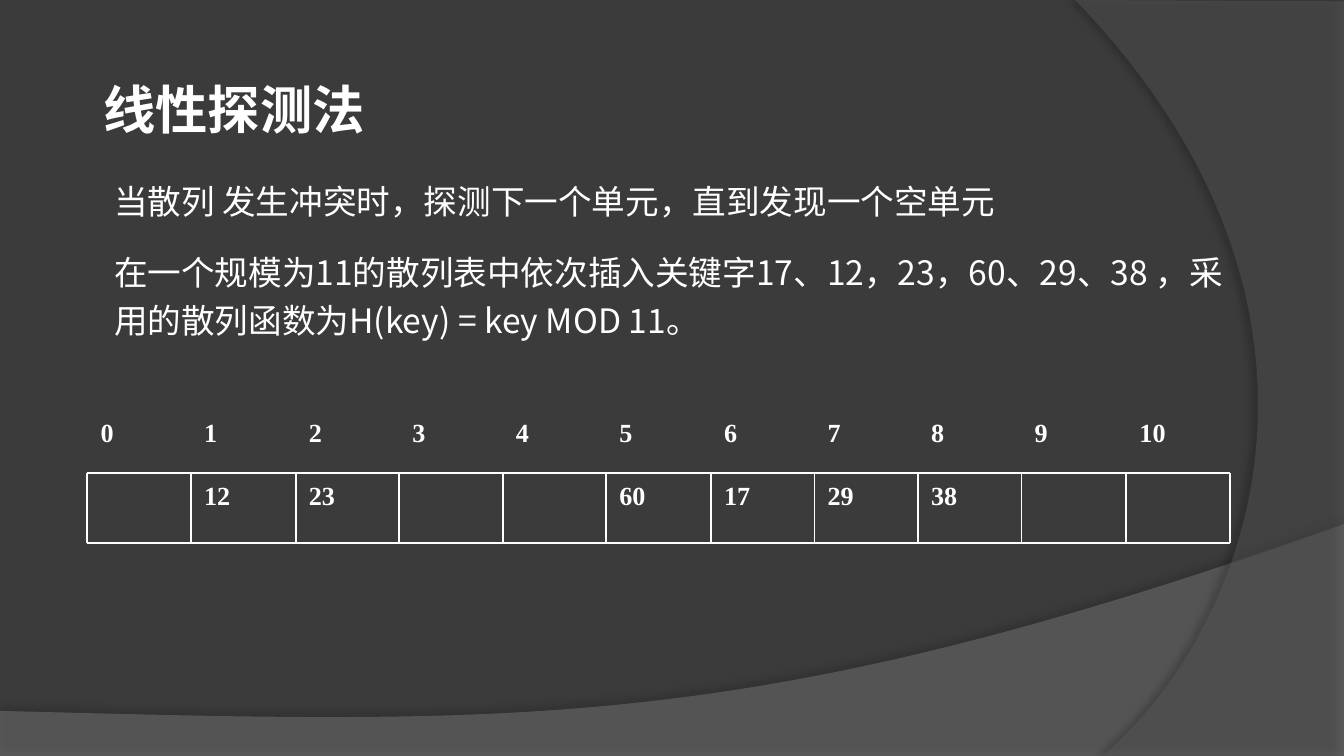
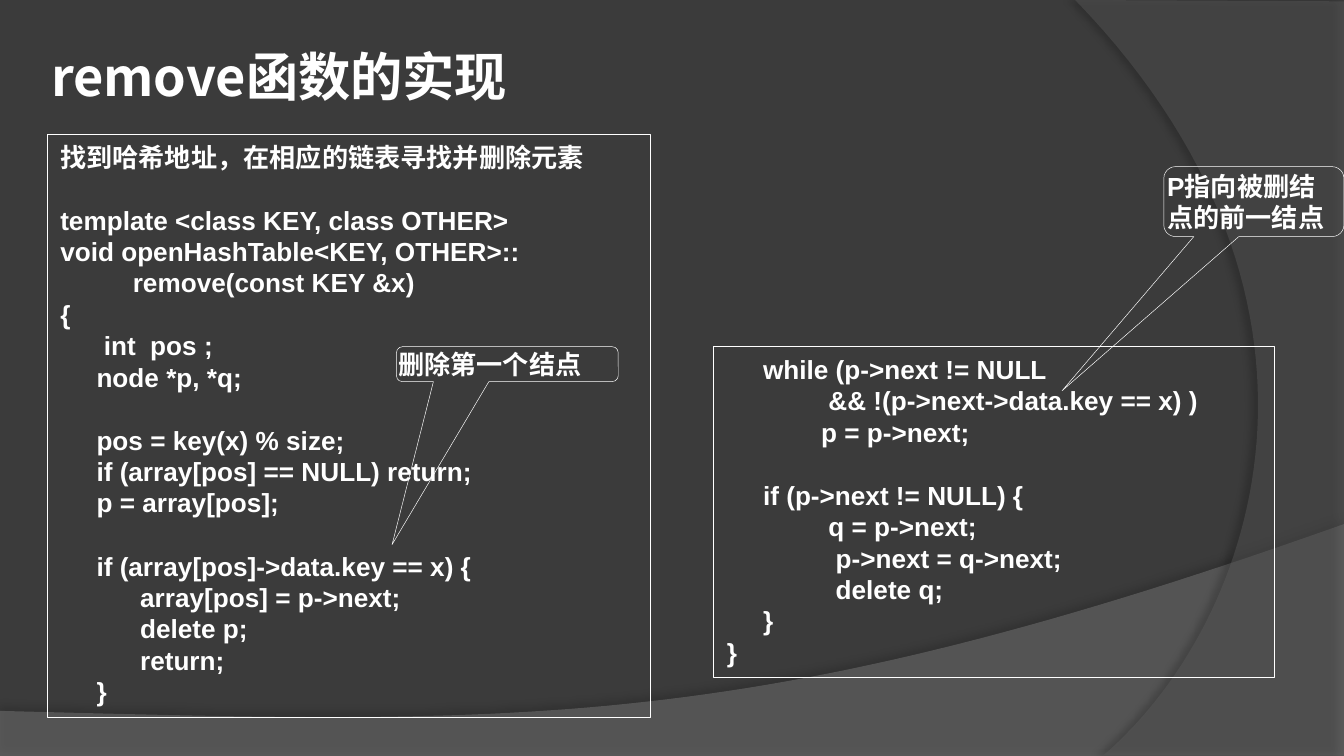
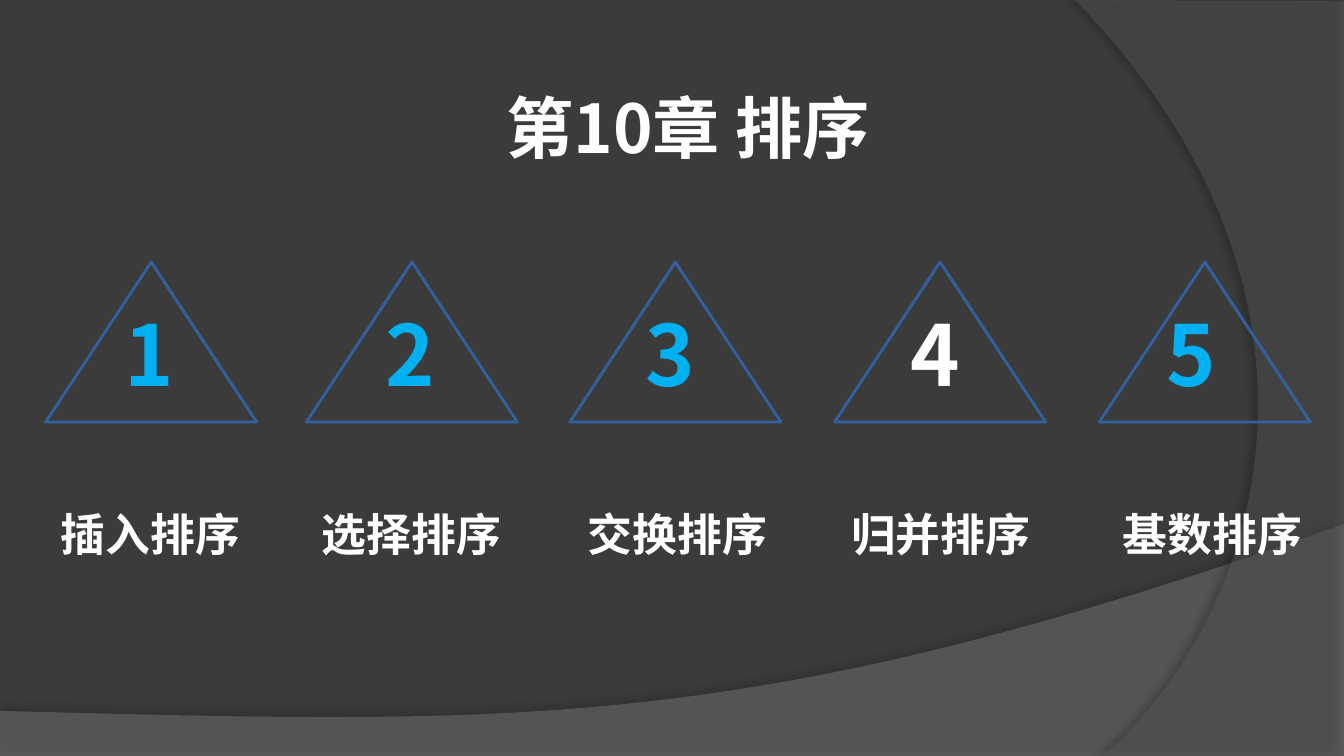
from lxml import etree
from pptx import Presentation
from pptx import util as u
from pptx.dml.color import RGBColor
from pptx.enum import shapes, text
from pptx.oxml.ns import qn

PX = 9144
COLORS = {"bg": "3B3B3B", "white": "FFFFFF", "black": "000000", "wave": "7F7F7F",
          "arc": "5E5E5E", "edge": "33619F", "digit": "00B0F0"}
SANS, CODE, SERIF = "Noto Sans CJK SC", "Arial", "Times New Roman"
LEFT, CENTER = text.PP_ALIGN.LEFT, text.PP_ALIGN.CENTER

REMOVE_START = """找到哈希地址，在相应的链表寻找并删除元素

template <class KEY, class OTHER>
void openHashTable<KEY, OTHER>::
          remove(const KEY &x)
{
      int  pos ;
     node *p, *q;

     pos = key(x) % size;
     if (array[pos] == NULL) return;
     p = array[pos];

     if (array[pos]->data.key == x) {
           array[pos] = p->next;
           delete p;
           return;
     }"""

REMOVE_END = """     while (p->next != NULL
              && !(p->next->data.key == x) )
             p = p->next;

     if (p->next != NULL) {
              q = p->next;
               p->next = q->next;
               delete q;
     }
}"""


def rgb(name):
    return RGBColor.from_string(COLORS[name])


def curve(p0, p1, p2, p3, steps=60):
    points = []
    for i in range(steps + 1):
        t = i / steps
        weights = ((1 - t) ** 3, 3 * t * (1 - t) ** 2, 3 * t * t * (1 - t), t ** 3)
        points.append(tuple(sum(w * c for w, c in zip(weights, axis))
                            for axis in zip(p0, p1, p2, p3)))
    return points


class Deck:
    """Holds the style and the current slide, and draws each kind of element."""

    def __init__(self):
        self.prs = Presentation()
        self.prs.slide_width, self.prs.slide_height = u.Emu(1000 * PX), u.Emu(5143500)
        self.master = self.prs.slide_master
        fill = self.master.background.fill
        fill.solid()
        fill.fore_color.rgb = rgb("bg")
        self.s = None

    def slide(self, title, box, size, **style):
        self.s = self.prs.slides.add_slide(self.prs.slide_layouts[5])
        sp = self.s.shapes.title
        sp.left, sp.top, sp.width, sp.height = [u.Emu(v * PX) for v in box]
        self.put_text(sp, [title], size, **style)

    def band(self, points, color, alpha, shadow):
        start, *rest = [(x * PX, y * PX) for x, y in points]
        builder = self.s.shapes.build_freeform(*start, scale=1.0)
        builder.add_line_segments(rest, close=True)
        sp = builder.convert_to_shape()
        sp.fill.solid()
        sp.fill.fore_color.rgb = rgb(color)
        self.alpha(sp.element.spPr.find(f"{qn('a:solidFill')}/{qn('a:srgbClr')}"), alpha)
        sp.line.fill.background()
        sp.shadow.inherit = False
        strength, dist, angle = shadow
        outer = etree.SubElement(sp.element.spPr.find(qn("a:effectLst")), qn("a:outerShdw"),
                                 blurRad=str(u.Pt(4)), dist=str(u.Pt(dist)),
                                 dir=str(angle * 60000), algn="ctr", rotWithShape="0")
        self.alpha(etree.SubElement(outer, qn("a:srgbClr"), val=COLORS["black"]), strength)
        tree = self.master.element.cSld.spTree
        sp.element.nvSpPr.cNvPr.set("id", str(100 + len(tree)))
        tree.append(sp.element)

    def alpha(self, color, percent):
        etree.SubElement(color, qn("a:alpha"), val=str(percent * 1000))

    def put_text(self, sp, lines, size, font=SANS, color="white", bold=True, spacing=None,
                 gap=0, align=LEFT, inset=(10, 5), hang=0, grow=True):
        tf = sp.text_frame
        tf.word_wrap = True
        tf.auto_size = (text.MSO_AUTO_SIZE.SHAPE_TO_FIT_TEXT if grow
                        else text.MSO_AUTO_SIZE.NONE)
        tf.vertical_anchor = text.MSO_ANCHOR.TOP
        tf.margin_left = tf.margin_right = u.Emu(inset[0] * PX)
        tf.margin_top = tf.margin_bottom = u.Emu(inset[1] * PX)
        skipped = False
        for i, line in enumerate(lines):
            if not line:
                skipped = True
                continue
            p = tf.add_paragraph() if i else tf.paragraphs[0]
            p.alignment = align
            p.space_before = u.Pt(17 if skipped else gap if i else 0)
            skipped = False
            if spacing:
                p.line_spacing = spacing
            if hang:
                pPr = p._p.get_or_add_pPr()
                pPr.set("marL", str(hang * PX))
                pPr.set("indent", str(-hang * PX))
            r = p.add_run()
            r.text = line
            r.font.size, r.font.bold, r.font.name = u.Pt(size), bold, font
            r.font.color.rgb = rgb(color)
            etree.SubElement(r._r.get_or_add_rPr(), qn("a:ea"), typeface=SANS)

    def text(self, box, lines, size, **style):
        sp = self.s.shapes.add_textbox(*[u.Emu(v * PX) for v in box])
        self.put_text(sp, lines, size, **style)

    def shape(self, kind, box, color="white", width=0.25, adjust=()):
        sp = self.s.shapes.add_shape(kind, *[u.Emu(v * PX) for v in box])
        sp.shadow.inherit = False
        sp.fill.background()
        sp.line.color.rgb = rgb(color)
        sp.line.width = u.Pt(width)
        for i, value in enumerate(adjust):
            sp.adjustments[i] = value
        return sp

    def code(self, box, listing):
        sp = self.shape(shapes.MSO_SHAPE.RECTANGLE, box)
        self.put_text(sp, listing.split("\n"), 14, font=CODE)

    def callout(self, box, note, tip):
        sp = self.shape(shapes.MSO_SHAPE.ROUNDED_RECTANGULAR_CALLOUT, box,
                        adjust=(*tip, 0.167))
        self.put_text(sp, [note], 14, font=CODE, inset=(0, 0))

    def line(self, x1, y1, x2, y2):
        cx = self.s.shapes.add_connector(shapes.MSO_CONNECTOR.STRAIGHT,
                                         *[u.Emu(v * PX) for v in (x1, y1, x2, y2)])
        cx.line.color.rgb = rgb("white")
        cx.line.width = u.Pt(1)
        etree.SubElement(cx._element.spPr, qn("a:effectLst"))


def bands(deck):
    wave = curve((1000, 390), (559, 547), (391, 539), (0, 529))
    deck.band([(0, 563), (1000, 563), *wave], "wave", 45, (35, 3.5, 270))
    arc = curve((821, 562), (935, 464), (1018, 225), (800, 0))
    deck.band([(1000, 1), (1000, 562), *arc], "arc", 40, (45, 4, 180))


def probing(deck):
    deck.slide("线性探测法", (67, 29, 748, 72), 28, spacing=1.5)
    bands(deck)
    deck.text((75, 124, 858, 136),
              ["当散列 发生冲突时，探测下一个单元，直到发现一个空单元",
               "在一个规模为11的散列表中依次插入关键字17、12，23，60、29、38 ，"
               "采用的散列函数为H(key) = key MOD 11。"],
              18, bold=False, spacing=1.2, gap=12)

    size, left, right, labels, top, bottom = 11, 65, 915, 305, 352, 404
    edges = [left + round((right - left) * i / size) for i in range(size + 1)]
    slots = {}
    for key in (17, 12, 23, 60, 29, 38):
        pos = key % size
        while pos in slots:
            pos = (pos + 1) % size
        slots[pos] = key
    cells = [(i, labels, 47, i) for i in range(size)]
    cells += [(pos, top, 52, key) for pos, key in slots.items()]
    for pos, y, height, value in cells:
        deck.text((edges[pos], y, 77, height), [str(value)], 14,
                  font=SERIF, hang=38, grow=False)
    for y in (top, bottom):
        deck.line(left, y, right, y)
    for x in edges:
        deck.line(x, top, x, bottom)


def removal(deck):
    deck.slide("remove函数的实现", (28, 14, 748, 71), 28, spacing=1.3)
    deck.code((35, 100, 449, 434), REMOVE_START)
    deck.code((531, 258, 417, 246), REMOVE_END)
    deck.callout((295, 258, 165, 26), "删除第一个结点", (-0.52, 5.175))
    deck.callout((866, 124, 134, 52), "P指向被删结点的前一结点", (-1.065, 2.706))


def sorting(deck):
    deck.slide("第10章 排序", (209, 45, 606, 83), 36, spacing=1.25,
               align=CENTER, inset=(7, 4))
    sections = [("插入排序", 112, 111, 112), ("选择排序", 306, 305, 306),
                ("交换排序", 502, 499, 504), ("归并排序", 699, 696, 700),
                ("基数排序", 896, 886, 902)]
    for number, (name, peak, digit, label) in enumerate(sections, 1):
        deck.text((label - 98, 352, 196, 64), [name], 24, spacing=1.5, align=CENTER)
        deck.shape(shapes.MSO_SHAPE.ISOSCELES_TRIANGLE, (peak - 78, 195, 157, 119),
                   "edge", 1.5)
        deck.text((digit - 74, 220, 148, 86), [str(number)], 45, align=CENTER,
                  color="white" if number == 4 else "digit")


def main():
    deck = Deck()
    probing(deck)
    removal(deck)
    sorting(deck)
    deck.prs.save("out.pptx")


if __name__ == "__main__":
    main()
